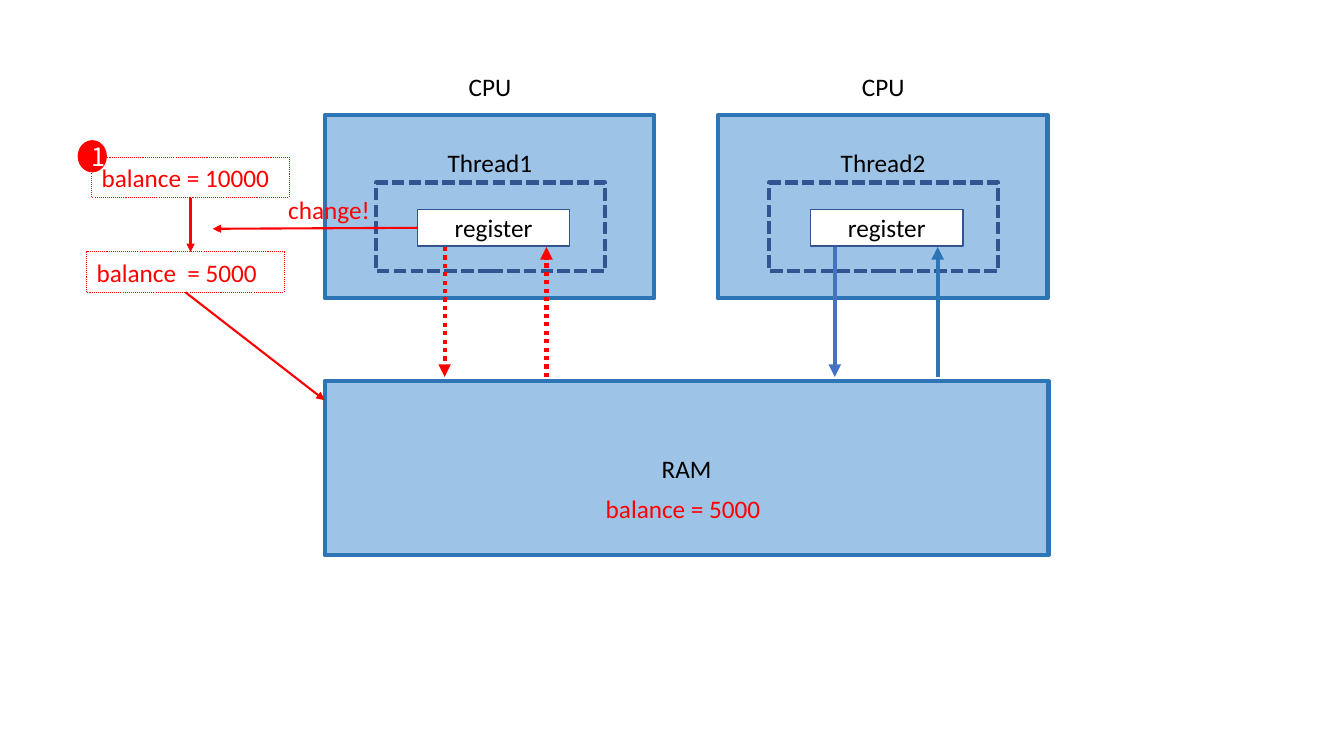
import pptx
import pptx.dml.color
import pptx.enum.dml
import pptx.enum.shapes
import pptx.enum.text
import pptx.oxml
import pptx.util

Inches = pptx.util.Inches
SHAPE = pptx.enum.shapes.MSO_SHAPE
DASH = pptx.enum.dml.MSO_LINE
ALIGN = pptx.enum.text.PP_ALIGN
ANCHOR = pptx.enum.text.MSO_ANCHOR

COLORS = {
    "panel": "9DC3E6",
    "border": "2E75B6",
    "thread": "325491",
    "arrow": "4472C4",
    "red": "FF0000",
    "black": "000000",
    "white": "FFFFFF",
}


def rgb(name):
    """Return the named colour."""
    return pptx.dml.color.RGBColor.from_string(COLORS[name])


def write(shape, text, color="black", font="Calibri", align=ALIGN.CENTER,
          anchor=ANCHOR.MIDDLE, wrap=True):
    """Put one formatted line of text into a shape."""
    frame = shape.text_frame
    frame.word_wrap = wrap
    frame.vertical_anchor = anchor
    para = frame.paragraphs[0]
    para.alignment = align
    span = para.add_run()
    span.text = text
    span.font.size = pptx.util.Pt(18)
    span.font.name = font
    span.font.color.rgb = rgb(color)


def style_line(line, color, width, dash=None):
    """Set colour, width in points and dash of a line."""
    line.color.rgb = rgb(color)
    line.width = pptx.util.Pt(width)
    if dash is not None:
        line.dash_style = dash


def add_box(shapes, left, top, width, height, kind=SHAPE.RECTANGLE,
            fill=None, line=None, weight=3, dash=None):
    """Add a preset shape; without fill or line that part stays clear."""
    box = shapes.add_shape(kind, Inches(left), Inches(top),
                           Inches(width), Inches(height))
    box.shadow.inherit = False
    if fill:
        box.fill.solid()
        box.fill.fore_color.rgb = rgb(fill)
    else:
        box.fill.background()
    if line:
        style_line(box.line, line, weight, dash)
    else:
        box.line.fill.background()
    return box


def add_label(shapes, text, left, top, width, color="black", wrap=False):
    """Add a one-line text box."""
    label = shapes.add_textbox(Inches(left), Inches(top),
                               Inches(width), Inches(0.4))
    write(label, text, color=color, align=ALIGN.LEFT, anchor=ANCHOR.TOP, wrap=wrap)


def add_arrow(shapes, start, end, color="red", weight=1.5, dash=None):
    """Add a straight arrow that points at its end."""
    arrow = shapes.add_connector(pptx.enum.shapes.MSO_CONNECTOR.STRAIGHT,
                                 *map(Inches, start + end))
    style_line(arrow.line, color, weight, dash)
    head = pptx.oxml.parse_xml(
        '<a:tailEnd xmlns:a="http://schemas.openxmlformats.org/drawingml/2006/main"'
        ' type="triangle"/>')
    arrow.line._get_or_add_ln().append(head)
    arrow._element.spPr.append(pptx.oxml.xmlchemy.OxmlElement("a:effectLst"))


def add_cpu(shapes, left, thread):
    """Add a grouped CPU with its thread and register."""
    parts = shapes.add_group_shape().shapes
    add_box(parts, left, 1.14, 3.27, 1.82, fill="panel", line="border")
    add_box(parts, left + 0.51, 1.81, 2.27, 0.88, line="thread",
            dash=DASH.SQUARE_DOT)
    register = add_box(parts, left + 0.92, 2.08, 1.51, 0.36, fill="white",
                       line="thread", weight=1)
    write(register, "register")
    add_label(parts, thread, left + 1.12, 1.41, 1.05)
    add_label(parts, "CPU", left + 1.33, 0.66, 0.62, wrap=True)


def add_balance(shapes, text, left, top):
    """Add a dotted red box that shows a balance."""
    box = add_box(shapes, left, top, 1.96, 0.4, line="red", weight=0.75,
                  dash=DASH.ROUND_DOT)
    write(box, text, color="red", align=ALIGN.LEFT, anchor=ANCHOR.TOP)


def main():
    """Build the slide and save it."""
    deck = pptx.Presentation()
    deck.slide_width, deck.slide_height = Inches(13.33), Inches(7.5)
    page = deck.slides.add_slide(deck.slide_layouts[6])
    shapes = page.shapes

    for left, thread in ((3.22, "Thread1"), (7.12, "Thread2")):
        add_cpu(shapes, left, thread)
    ram = add_box(shapes, 3.22, 3.78, 7.18, 1.73, fill="panel", line="border")
    write(ram, "RAM")
    add_label(shapes, "balance = 5000", 5.91, 4.84, 1.76, color="red")

    register_y, ram_y = 2.45, 3.74
    for x, start, end, color, dash in (
        (4.41, register_y, ram_y, "red", DASH.ROUND_DOT),
        (5.42, ram_y, register_y, "red", DASH.ROUND_DOT),
        (8.28, register_y, ram_y, "arrow", None),
        (9.3, ram_y, register_y, "border", None),
    ):
        add_arrow(shapes, (x, start), (x, end), color, 3, dash)

    first_step = shapes.add_group_shape().shapes
    add_balance(first_step, "balance = 10000", 0.91, 1.56)
    badge = add_box(first_step, 0.77, 1.39, 0.29, 0.32, kind=SHAPE.OVAL, fill="red")
    write(badge, "1", color="white", font="Noto Sans CJK KR")
    add_balance(shapes, "balance  = 5000", 0.86, 2.5)
    add_label(shapes, "change!", 2.76, 1.88, 1.02, color="red")
    for start, end in (
        ((1.89, 1.96), (1.89, 2.5)),
        ((4.14, 2.26), (2.11, 2.27)),
        ((1.84, 2.9), (3.22, 3.97)),
    ):
        add_arrow(shapes, start, end)

    deck.save("out.pptx")


main()
